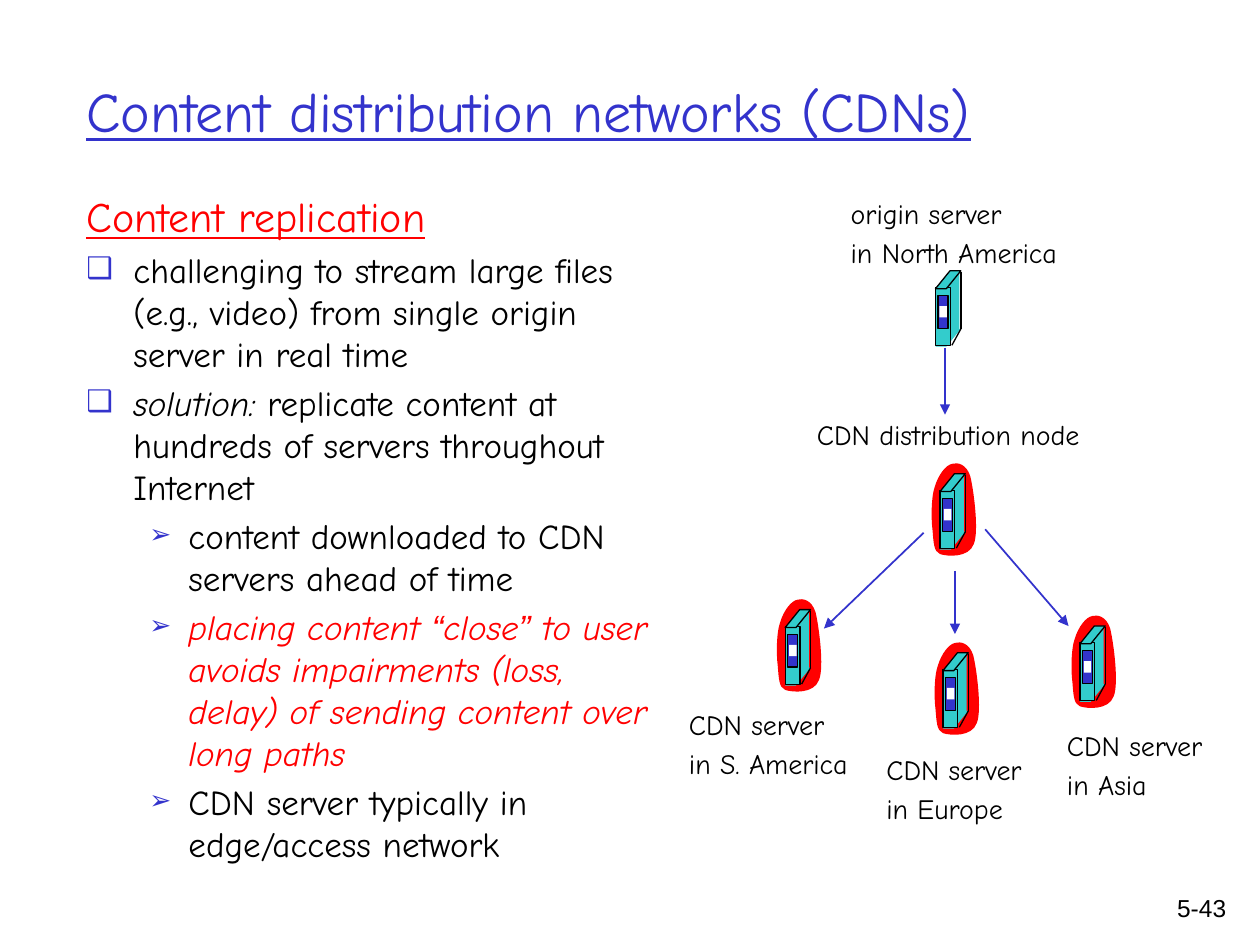
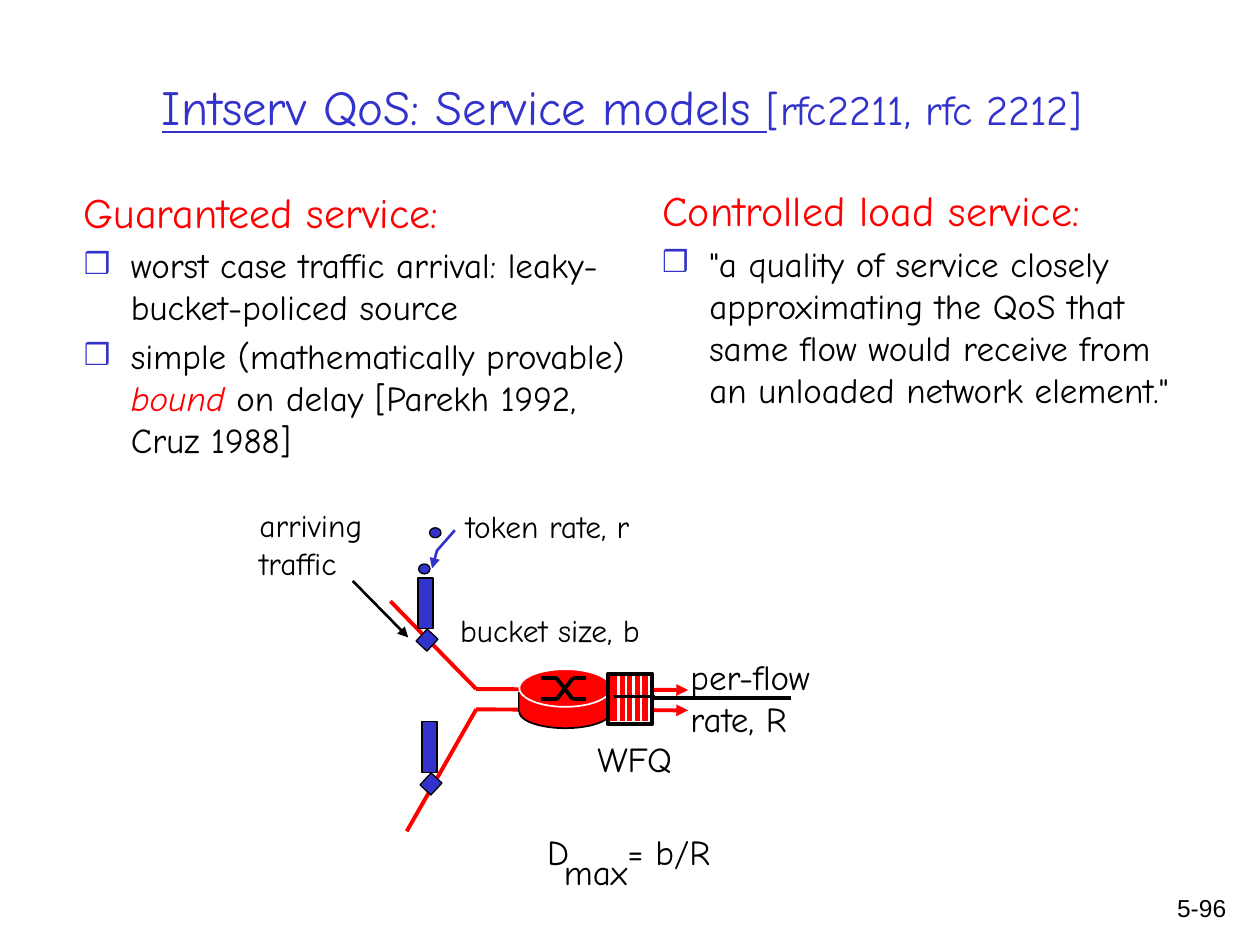
from collections import namedtuple
from dataclasses import dataclass

from lxml.etree import SubElement
from pptx import Presentation
from pptx.dml.color import RGBColor as Rgb
from pptx.enum.shapes import MSO_CONNECTOR as Connector, MSO_SHAPE as Preset
from pptx.enum.text import MSO_ANCHOR as Anchor, PP_ALIGN as Align
from pptx.oxml.ns import qn
from pptx.util import Cm, Pt


@dataclass(frozen=True)
class Theme:
    """Colours, fonts and type sizes of the deck."""
    blue: str = "3333CC"
    red: str = "FF0000"
    teal: str = "33CCCC"
    black: str = "000000"
    white: str = "FFFFFF"
    font: str = "Comic Neue"
    number_font: str = "Arial"
    title: int = 32
    long_title: int = 28
    heading: int = 24
    body: int = 20
    caption: int = 18
    label: int = 16
    number: int = 14
    paragraph_gap: float = 0.2


THEME = Theme()
CLOUD_CURVE = (
    (0.08, 0.48), (0.15, 0.25), (0.3, 0.05), (0.43, 0.03),
    (0.53, 0), (0.71, 0.03), (0.79, 0.28), (0.86, 0.56), (0.97, 1.4), (0.86, 1.65),
    (0.76, 1.93), (0.33, 1.9), (0.18, 1.85), (0.05, 1.8), (0.05, 1.6), (0.03, 1.37),
    (0, 1.14), (0, 0.69), (0.08, 0.48),
)


class Box(namedtuple("Box", "left top width height")):
    """A region of the slide in centimetres."""

    def inner(self, left, top, width, height):
        """Return a box placed relative to this one."""
        return Box(self.left + left, self.top + top, width, height)

    def point(self, left, top):
        """Return a slide position given relative to this box."""
        return Cm(self.left + left), Cm(self.top + top)

    def lengths(self):
        """Return the four measures as lengths."""
        return [Cm(value) for value in self]


def set_bullet(paragraph, symbol, percent):
    """Give a paragraph a blue bullet of a relative size."""
    properties = paragraph._p.get_or_add_pPr()
    colour = SubElement(properties, qn("a:buClr"))
    SubElement(colour, qn("a:srgbClr")).set("val", THEME.blue)
    SubElement(properties, qn("a:buSzPct")).set("val", str(percent * 1000))
    SubElement(properties, qn("a:buFont")).set("typeface", THEME.font)
    SubElement(properties, qn("a:buChar")).set("char", symbol)


def set_indent(paragraph, margin, hanging):
    """Set the left margin and hanging indent of a paragraph."""
    properties = paragraph._p.get_or_add_pPr()
    properties.set("marL", str(Cm(margin)))
    properties.set("indent", str(-Cm(hanging)))


def set_tab(paragraph, position):
    """Add a left tab stop to a paragraph."""
    stops = SubElement(paragraph._p.get_or_add_pPr(), qn("a:tabLst"))
    tab = SubElement(stops, qn("a:tab"))
    tab.set("pos", str(Cm(position)))
    tab.set("algn", "l")


def add_run(paragraph, text, size, color=THEME.black, font=THEME.font,
            underline=False, italic=False):
    """Append one formatted run."""
    run = paragraph.add_run()
    run.text = text
    run.font.size = Pt(size)
    run.font.name = font
    run.font.color.rgb = Rgb.from_string(color)
    run.font.underline = underline
    run.font.italic = italic


def add_text(slide, box, *paragraphs, align=Align.LEFT, anchor=Anchor.TOP,
             gap=0, tab=None, **style):
    """Place paragraphs, each a string or a pair of runs and format."""
    frame = slide.shapes.add_textbox(*box.lengths()).text_frame
    frame.word_wrap = True
    frame.vertical_anchor = anchor
    for index, item in enumerate(paragraphs):
        runs, extra = (item, {}) if isinstance(item, str) else item
        look = {**style, **extra}
        indent, bullet = look.pop("indent", None), look.pop("bullet", None)
        paragraph = frame.add_paragraph() if index else frame.paragraphs[0]
        paragraph.alignment = align
        if index and gap:
            paragraph.space_before = Pt(gap * look["size"])
        if indent:
            set_indent(paragraph, *indent)
        if bullet:
            set_bullet(paragraph, *bullet)
        if tab:
            set_tab(paragraph, tab)
        for text, change in [(runs, {})] if isinstance(runs, str) else runs:
            add_run(paragraph, text, **{**look, **change})


def paint(shape, fill=None, line=None, width=0.75):
    """Set the fill and outline of a shape, either of which may be absent."""
    shape.shadow.inherit = False
    if fill:
        shape.fill.solid()
        shape.fill.fore_color.rgb = Rgb.from_string(fill)
    else:
        shape.fill.background()
    if line:
        shape.line.color.rgb = Rgb.from_string(line)
        shape.line.width = Pt(width)
    else:
        shape.line.fill.background()


def add_preset(slide, preset, box, rotation=0, **look):
    """Add a painted preset shape."""
    shape = slide.shapes.add_shape(preset, *box.lengths())
    shape.rotation = rotation
    if preset == Preset.PARALLELOGRAM:
        shape.adjustments[0] = 0.81
    paint(shape, **look)


def add_arrowhead(shape):
    """Put a triangle at the end of a line."""
    outline = shape.element.spPr.find(qn("a:ln"))
    SubElement(outline, qn("a:tailEnd")).set("type", "triangle")


def add_line(slide, box, start, end, color=THEME.black, width=0.75, arrow=False):
    """Draw a straight line between two points of a box."""
    line = slide.shapes.add_connector(
        Connector.STRAIGHT, *box.point(*start), *box.point(*end))
    line.line.color.rgb = Rgb.from_string(color)
    line.line.width = Pt(width)
    if arrow:
        add_arrowhead(line)
    SubElement(line.element.spPr, qn("a:effectLst"))


def add_outline(slide, box, points, close=False, **look):
    """Draw a freeform through points of a box."""
    places = [box.point(*point) for point in points]
    builder = slide.shapes.build_freeform(*places[0])
    builder.add_line_segments(places[1:], close=close)
    shape = builder.convert_to_shape()
    paint(shape, **look)
    return shape


def bend_outline(shape):
    """Turn each three segments of an outline into one cubic curve."""
    segments = list(shape.element.iter(qn("a:lnTo")))
    for first, second, third in zip(segments[::3], segments[1::3], segments[2::3]):
        first.tag = qn("a:cubicBezTo")
        for segment in (second, third):
            first.append(segment[0])
            segment.getparent().remove(segment)


def add_server(slide, box, cloud=True):
    """Draw a server tower, on a red cloud when it belongs to the CDN."""
    if cloud:
        bend_outline(add_outline(slide, box.inner(-0.18, -0.23, 0.97, 1.93),
                                 CLOUD_CURVE, close=True, fill=THEME.red))
    parts = (
        (Preset.PARALLELOGRAM, (0, 1.17, 0.51, 0.36), THEME.teal, None),
        (Preset.RECTANGLE, (0.25, 0.03, 0.23, 1.17), THEME.teal, None),
        (Preset.RECTANGLE, (0, 0.34, 0.3, 1.17), THEME.teal, THEME.black),
        (Preset.PARALLELOGRAM, (0, 0, 0.51, 0.36), THEME.teal, THEME.black),
        (Preset.RECTANGLE, (0.05, 0.5, 0.2, 0.66), THEME.blue, THEME.black),
        (Preset.RECTANGLE, (0.08, 0.71, 0.15, 0.23), THEME.white, None),
    )
    for preset, place, fill, line in parts:
        add_preset(slide, preset, box.inner(*place), fill=fill, line=line)
    add_line(slide, box, (0.51, 0.03), (0.51, 1.17))
    add_line(slide, box, (0.51, 1.17), (0.33, 1.5))


def add_distribution_tree(slide, box):
    """Draw the origin server, the distribution node and three CDN servers."""
    servers = (
        ((5.36, 1.96), False), ((2.33, 8.79), True), ((5.51, 9.66), True),
        ((8.27, 9.12), True), ((5.45, 6.05), True),
    )
    for place, cloud in servers:
        add_server(slide, box.inner(*place, 0.51, 1.52), cloud)
    labels = (
        ((3.4, 0.33, 5.08, 1.75), "origin server", "in North America"),
        ((2.72, 4.79, 6.38, 0.94), "CDN distribution node"),
        ((0.14, 10.64, 4.01, 1.75), "CDN server", "in S. America"),
        ((4.12, 11.55, 3.58, 1.75), "CDN server", "in Europe"),
        ((7.76, 11.06, 3.58, 1.75), "CDN server", "in Asia"),
    )
    for place, *lines in labels:
        add_text(slide, box.inner(*place), *lines, size=THEME.label,
                 gap=THEME.paragraph_gap)
    arrows = (
        ((5.55, 3.51), (5.55, 4.86)), ((5.12, 7.24), (3.11, 9.17)),
        ((5.75, 8.01), (5.75, 9.28)), ((6.36, 7.17), (8.04, 9.12)),
    )
    for start, end in arrows:
        add_line(slide, box, start, end, color=THEME.blue, width=1, arrow=True)


def add_router(slide, box):
    """Draw a red router disc with crossing paths on its top."""
    add_preset(slide, Preset.OVAL, box.inner(0, 0.53, 1.85, 0.66),
               fill=THEME.red, line=THEME.black, width=1)
    for side in (0, box.width):
        add_line(slide, box, (side, 0.46), (side, 0.86), width=1)
    add_preset(slide, Preset.RECTANGLE, box.inner(0, 0.46, 1.83, 0.41), fill=THEME.red)
    add_preset(slide, Preset.OVAL, box.inner(0, 0, 1.85, 0.76),
               fill=THEME.red, line=THEME.white, width=1)
    for start, end in ((0.18, 0.61), (0.61, 0.18)):
        route = ((0.43, start), (0.75, start), (1.08, end), (1.35, end))
        for here, there in zip(route, route[1:]):
            add_line(slide, box, here, there, width=2.25)


def add_queue(slide, box):
    """Draw the striped queue at the router's output."""
    add_preset(slide, Preset.RECTANGLE, box.inner(-0.06, 0.1, 0.97, 0.81),
               rotation=270, fill=THEME.red, line=THEME.white, width=1.5)
    for index in range(4):
        stripe = 0.21 + 0.15 * index
        add_line(slide, box, (stripe, 0.96), (stripe, 0.02), color=THEME.white, width=1.5)
    add_preset(slide, Preset.RECTANGLE, box, line=THEME.black, width=2.25)
    add_line(slide, box, (0.11, 0.46), (0.95, 0.46), width=2.25)


def add_bucket(slide, box):
    """Draw a token bucket with its gate."""
    look = {"fill": THEME.blue, "line": THEME.black}
    add_preset(slide, Preset.RECTANGLE, box.inner(0.03, 1.09, 0.3, 0.33),
               rotation=42.9, **look)
    add_preset(slide, Preset.RECTANGLE, box, **look)


def add_policing_diagram(slide, box):
    """Draw two policed flows that share one scheduled output."""
    for source, bend in (((2.87, 2.12), (4.6, 3.89)), ((3.2, 6.76), (4.6, 4.3))):
        add_line(slide, box, source, bend, color=THEME.red, width=2.25)
        add_line(slide, box, bend, (8.87, bend[1] + 0.02), color=THEME.red,
                 width=2.25, arrow=True)
    add_line(slide, box, (7.85, 4.07), (10.95, 4.07), width=2.25)
    add_router(slide, box.inner(5.47, 3.49, 1.85, 1.19))
    add_queue(slide, box.inner(7.26, 3.58, 0.89, 1.02))
    for place in ((3.44, 1.37), (3.66, 0.64)):
        add_preset(slide, Preset.OVAL, box.inner(*place, 0.23, 0.2),
                   fill=THEME.blue, line=THEME.black)
    add_arrowhead(add_outline(slide, box, ((4.17, 0.69), (3.81, 1.1), (3.71, 1.46)),
                              line=THEME.blue, width=1.5))
    for place in ((3.43, 1.65), (3.51, 4.55)):
        add_bucket(slide, box.inner(*place, 0.3, 1.02))
    add_line(slide, box, (2.11, 1.71), (3.23, 2.85), width=1.5, arrow=True)
    labels = (
        ((-0.02, 0.08, 2.77, 1.78), THEME.caption, Align.LEFT, "arriving", "traffic"),
        ((3.88, 0.1, 4.32, 1.02), THEME.caption, Align.CENTER, "token rate, r"),
        ((3.76, 2.19, 4.65, 1.02), THEME.caption, Align.CENTER, "bucket size, b"),
        ((8.67, 3.08, 3.33, 1.96), THEME.body, Align.LEFT, "per-flow", "rate, R"),
        ((6.55, 4.74, 2.49, 1.1), THEME.body, Align.CENTER, "WFQ"),
        ((5.91, 7.02, 2.2, 1.1), THEME.body, Align.CENTER, "max"),
    )
    for place, size, align, *lines in labels:
        add_text(slide, box.inner(*place), *lines, size=size, align=align)
    add_text(slide, box.inner(5.78, 6.61, 3.9, 1.1), "D\t= b/R", size=THEME.body, tab=1.62)


def add_body(slide, box, heading, *items, symbol, underline=False):
    """Write a red heading over bulleted items, each runs and a level."""
    levels = (
        {"indent": (0.95, 0.95), "bullet": (symbol, 85)},
        {"indent": (2.06, 0.79), "bullet": ("➢", 75)},
    )
    head = (heading, {"size": THEME.heading, "color": THEME.red,
                      "underline": underline, "indent": (0.95, 0.95)})
    add_text(slide, box, head, *((runs, levels[level]) for runs, level in items),
             size=THEME.body, gap=THEME.paragraph_gap)


def start_slide(presentation, number, title_box, title, **style):
    """Add a blank slide with its title and page number."""
    slide = presentation.slides.add_slide(presentation.slide_layouts[6])
    add_text(slide, title_box, (title, {}), anchor=Anchor.MIDDLE,
             color=THEME.blue, underline=True, **style)
    add_text(slide, Box(23.09, 17.88, 1.88, 1.17), number, align=Align.RIGHT,
             size=THEME.number, font=THEME.number_font)
    return slide


def build_cdn_slide(presentation):
    """Build the slide on content distribution networks."""
    slide = start_slide(presentation, "5-43", Box(1.49, 0.63, 22.3, 3.18),
                        "Content distribution networks (CDNs)", size=THEME.title)
    stress = {"color": THEME.red, "italic": True}
    quote = {**stress, "font": THEME.number_font}
    add_body(
        slide, Box(1.49, 3.72, 11.91, 13.64), "Content replication",
        ("challenging to stream large files (e.g., video) from single origin "
         "server in real time", 0),
        ([("solution:", {"italic": True}),
          (" replicate content at hundreds of servers throughout Internet", {})], 0),
        ("content downloaded to CDN servers ahead of time", 1),
        ([("placing content ", stress), ("“", quote), ("close", stress), ("”", quote),
          (" to user avoids impairments (loss, delay) of sending content over "
           "long paths", stress)], 1),
        ("CDN server typically in edge/access network", 1),
        symbol="❑", underline=True)
    add_distribution_tree(slide, Box(13.5, 3.5, 11.5, 13.5))


def build_intserv_slide(presentation):
    """Build the slide on the Intserv service models."""
    title = [("Intserv QoS: Service models ", {}),
             ("[rfc2211, rfc 2212]", {"size": THEME.heading, "underline": False})]
    slide = start_slide(presentation, "5-96", Box(1.4, 0.55, 22.28, 3.18), title,
                        size=THEME.long_title, align=Align.CENTER)
    add_body(
        slide, Box(1.44, 3.63, 11.63, 6.1), "Guaranteed service:",
        ("worst case traffic arrival: leaky-bucket-policed source", 0),
        ([("simple (mathematically provable) ", {}),
          ("bound", {"color": THEME.red, "italic": True}),
          (" on delay [Parekh 1992, Cruz 1988]", {})], 0),
        symbol="❒")
    add_body(
        slide, Box(13.1, 3.6, 11.13, 6.1), "Controlled load service:",
        ("\"a quality of service closely approximating the QoS that same flow "
         "would receive from an unloaded network element.\"", 0),
        symbol="❒")
    add_policing_diagram(slide, Box(5, 10, 12, 8))


def main():
    """Build and save the deck."""
    presentation = Presentation()
    presentation.slide_width, presentation.slide_height = Cm(25.4), Cm(19.05)
    build_cdn_slide(presentation)
    build_intserv_slide(presentation)
    presentation.save("out.pptx")


if __name__ == "__main__":
    main()
